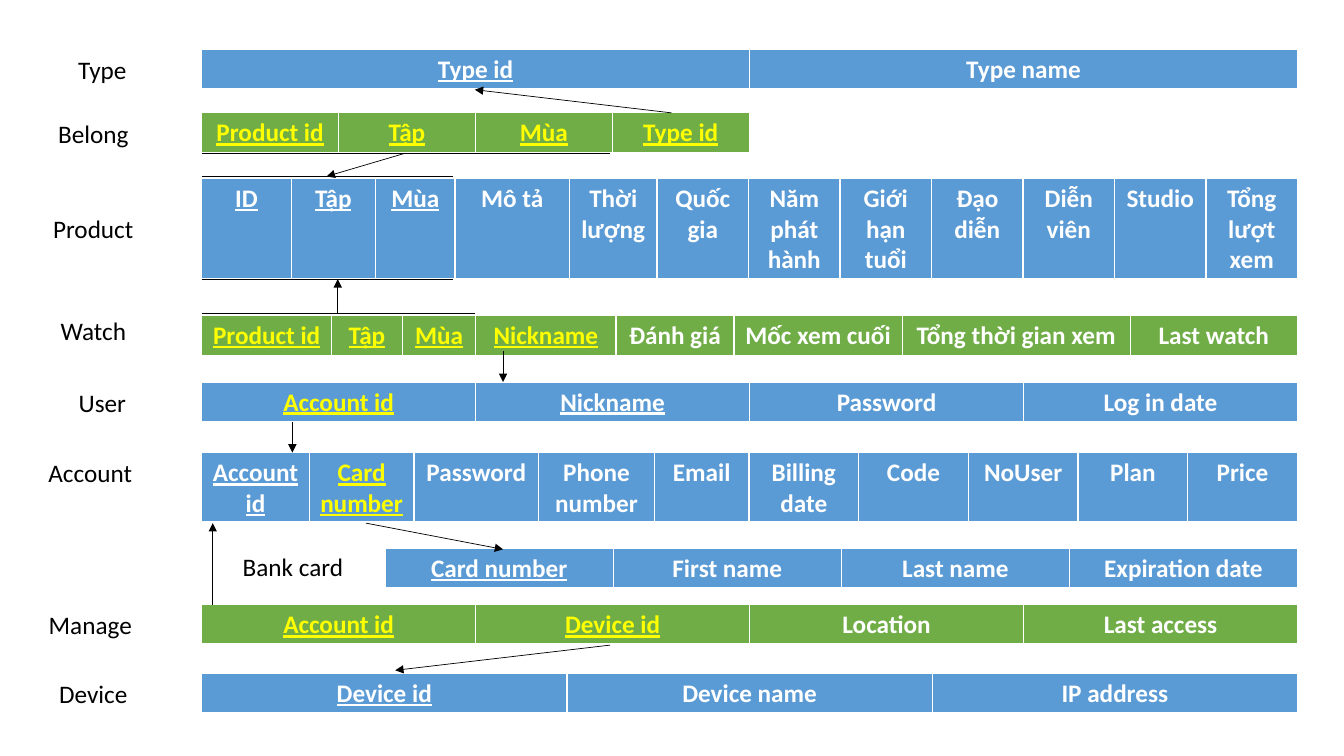
from dataclasses import dataclass

from lxml.etree import SubElement
from pptx import Presentation
from pptx.dml.color import RGBColor
from pptx.enum.shapes import MSO_CONNECTOR as Connector
from pptx.enum.text import MSO_AUTO_SIZE as AutoSize, PP_ALIGN as Align
from pptx.oxml.ns import qn
from pptx.util import Inches, Pt

ENTITY, LINK = "5B9BD5", "70AD47"
WHITE, YELLOW, BLACK = "FFFFFF", "FFFF00", "000000"
LEFT, FULL_WIDTH, ROW_HEIGHT = 2, 10.87, 0.4
BORDERS = {"lnL": 1, "lnR": 1, "lnT": 1, "lnB": 3}


@dataclass(frozen=True)
class Label:
    """Name beside a relation; its top follows the table unless given."""
    text: str
    left: float
    width: float
    top: float | None = None


@dataclass(frozen=True)
class Relation:
    """One-row schema table; the first `keys` fields are underlined."""
    label: Label
    top: float
    fields: tuple[str, ...]
    keys: int
    foreign: tuple[int, ...] = ()
    fill: str = ENTITY
    left: float = LEFT
    width: float = FULL_WIDTH
    height: float = ROW_HEIGHT
    weights: tuple[float, ...] = ()


@dataclass(frozen=True)
class Stroke:
    """Thin line, with an arrowhead at its end if asked."""
    x1: float
    y1: float
    x2: float
    y2: float
    arrow: bool = True


RELATIONS = (
    Relation(Label("Type", 0.59, 0.85), 0.49, ("Type id", "Type name"), 1),
    Relation(Label("Belong", 0.42, 1.01), 1.12,
             ("Product id", "Tập", "Mùa", "Type id"), 4, (0, 1, 2, 3), LINK,
             width=5.43, height=0.41),
    Relation(Label("Product", 0.42, 1.01, 2.07), 1.77,
             ("ID", "Tập", "Mùa", "Mô tả", "Thời lượng", "Quốc gia", "Năm phát hành",
              "Giới hạn tuổi", "Đạo diễn", "Diễn viên", "Studio", "Tổng lượt xem"),
             3, height=1.01, weights=(0.89, 0.84, 0.79, 1.14, 0.87) + (0.91,) * 7),
    Relation(Label("Watch", 0.42, 1.01, 3.08), 3.13,
             ("Product id", "Tập", "Mùa", "Nickname", "Đánh giá", "Mốc xem cuối",
              "Tổng thời gian xem", "Last watch"), 4, (0, 1, 2, 3), LINK, height=0.41,
             weights=(1.29, 0.7, 0.73, 1.39, 1.17, 1.67, 2.26, 1.66)),
    Relation(Label("User", 0.59, 0.85), 3.79,
             ("Account id", "Nickname", "Password", "Log in date"), 2, (0,)),
    Relation(Label("Account", 0.35, 1.09), 4.49,
             ("Account id", "Card number", "Password", "Phone number", "Email",
              "Billing date", "Code", "NoUser", "Plan", "Price"), 2, (1,), height=0.7,
             weights=(1.07, 1.04, 1.24, 1.15, 0.94) + (1.09,) * 5),
    Relation(Label("Bank card", 2.23, 1.35, 5.42), 5.44,
             ("Card number", "First name", "Last name", "Expiration date"), 1,
             left=3.82, width=9.05),
    Relation(Label("Manage", 0.35, 1.09), 6,
             ("Account id", "Device id", "Location", "Last access"), 2, (0, 1), LINK),
    Relation(Label("Device", 0.42, 1.01), 6.68,
             ("Device id", "Device name", "IP address"), 1),
)

STROKES = (
    Stroke(4.02, 1.52, 3.24, 1.75),
    Stroke(6.66, 1.12, 4.71, 0.89),
    Stroke(3.35, 3.11, 3.35, 2.77),
    Stroke(2.11, 6, 2.11, 5.19),
    Stroke(6.05, 6.4, 3.92, 6.65),
    Stroke(2.9, 4.19, 2.9, 4.49),
    Stroke(3.63, 5.19, 4.99, 5.45),
    Stroke(4.99, 3.48, 4.99, 3.79),
    Stroke(LEFT, 1.52, 6.05, 1.52, arrow=False),
    Stroke(LEFT, 1.75, 4.49, 1.75, arrow=False),
    Stroke(LEFT, 2.77, 4.49, 2.77, arrow=False),
    Stroke(LEFT, 3.11, 4.71, 3.11, arrow=False),
)


def rgb(value: str) -> RGBColor:
    """Turn a hex string into a colour."""
    return RGBColor.from_string(value)


def write(frame, text: str, *, color: str = BLACK, bold: bool = False,
          underline: bool = False) -> None:
    """Put one centred line of formatted text into a text frame."""
    para = frame.paragraphs[0]
    para.alignment = Align.CENTER
    span = para.add_run()
    span.text = text
    font = span.font
    font.name, font.size = "Calibri", Pt(18)
    font.bold, font.underline = bold, underline
    font.color.rgb = rgb(color)


def add_borders(cell) -> None:
    """Give a cell its white borders, before any fill is set."""
    properties = cell._tc.get_or_add_tcPr()
    for side, points in BORDERS.items():
        border = SubElement(properties, qn(f"a:{side}"), w=str(Pt(points)))
        solid = SubElement(border, qn("a:solidFill"))
        SubElement(solid, qn("a:srgbClr"), val=WHITE)


def draw_relation(page, relation: Relation) -> None:
    """Draw the table of a relation."""
    count = len(relation.fields)
    weights = relation.weights or (1,) * count
    table = page.shapes.add_table(
        1, count, Inches(relation.left), Inches(relation.top),
        Inches(relation.width), Inches(relation.height)).table
    table.first_row = table.horz_banding = False
    for index, (name, weight) in enumerate(zip(relation.fields, weights)):
        table.columns[index].width = Inches(relation.width * weight / sum(weights))
        cell = table.cell(0, index)
        add_borders(cell)
        cell.fill.solid()
        cell.fill.fore_color.rgb = rgb(relation.fill)
        write(cell.text_frame, name, bold=True, underline=index < relation.keys,
              color=YELLOW if index in relation.foreign else WHITE)


def draw_label(page, relation: Relation) -> None:
    """Write the name of a relation beside its table."""
    label = relation.label
    top = relation.top if label.top is None else label.top
    box = page.shapes.add_textbox(Inches(label.left), Inches(top),
                                  Inches(label.width), Inches(ROW_HEIGHT))
    box.text_frame.word_wrap = True
    box.text_frame.auto_size = AutoSize.SHAPE_TO_FIT_TEXT
    write(box.text_frame, label.text)


def draw_stroke(page, stroke: Stroke) -> None:
    """Draw a reference arrow or a key bracket line."""
    line = page.shapes.add_connector(
        Connector.STRAIGHT, Inches(stroke.x1), Inches(stroke.y1),
        Inches(stroke.x2), Inches(stroke.y2))
    line.line.color.rgb = rgb(BLACK)
    line.line.width = Pt(0.5)
    if stroke.arrow:
        SubElement(line.line._get_or_add_ln(), qn("a:tailEnd"), type="triangle")
    SubElement(line._element.spPr, qn("a:effectLst"))


def main() -> None:
    """Build the schema slide and save it."""
    deck = Presentation()
    deck.slide_width, deck.slide_height = Inches(13.33), Inches(7.5)
    page = deck.slides.add_slide(deck.slide_layouts[6])
    for relation in RELATIONS:
        draw_relation(page, relation)
        draw_label(page, relation)
    for stroke in STROKES:
        draw_stroke(page, stroke)
    deck.save("out.pptx")


main()
